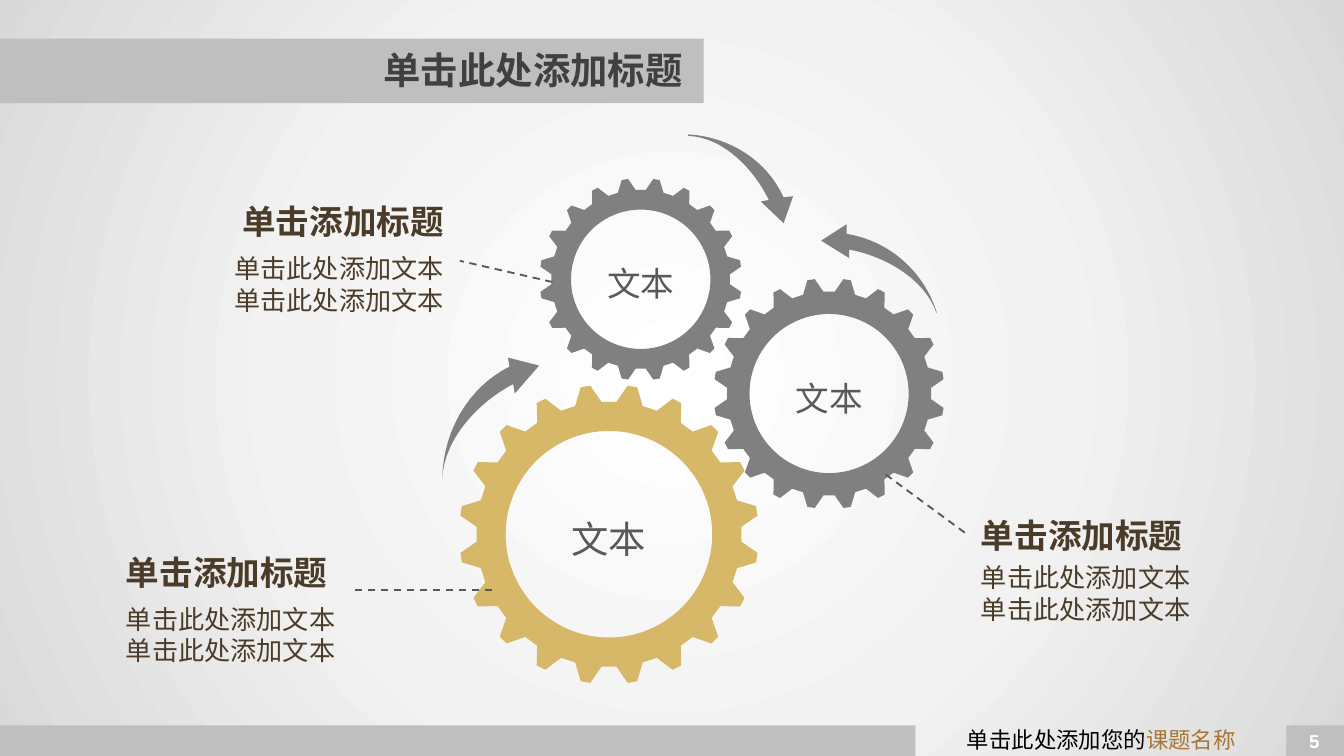
from math import cos, sin, radians
from lxml.etree import SubElement
from pptx import Presentation
from pptx.dml.color import RGBColor
from pptx.enum.dml import MSO_LINE as Dash
from pptx.enum.shapes import MSO_CONNECTOR as Link, MSO_SHAPE as Form
from pptx.enum.text import MSO_ANCHOR as Anchor, MSO_AUTO_SIZE as Fit, PP_ALIGN as Align
from pptx.oxml import parse_xml
from pptx.oxml.ns import nsdecls, qn
from pptx.util import Cm, Pt

hue = RGBColor.from_string


def write(para, text, size=14, color="4B3C29", bold=False, face="Arial", align=Align.LEFT):
    para.alignment = align
    run = para.add_run()
    run.text = text
    run.font.size = Pt(size)
    run.font.bold = bold
    run.font.name = face
    run.font.color.rgb = hue(color)


def paint(shape, color):
    shape.shadow.inherit = False
    shape.line.fill.background()
    shape.fill.solid()
    shape.fill.fore_color.rgb = hue(color)


deck = Presentation()
deck.slide_width, deck.slide_height = Cm(25.4), Cm(14.29)
slide = deck.slides.add_slide(deck.slide_layouts[5])
shapes = slide.shapes

back = shapes.add_shape(Form.RECTANGLE, Cm(0), Cm(-0.08), Cm(25.4), Cm(14.38))
back.shadow.inherit = False
back.line.fill.background()
stops = "".join(
    f'<a:gs pos="{pos}"><a:srgbClr val="{color}"/></a:gs>'
    for pos, color in [(0, "FFFFFF"), (51000, "F2F2F2"), (100000, "D9D9D9")]
)
back._element.spPr.insert(2, parse_xml(
    f'<a:gradFill {nsdecls("a")} rotWithShape="1"><a:gsLst>{stops}</a:gsLst><a:path path="circle">'
    '<a:fillToRect l="50000" t="50000" r="50000" b="50000"/></a:path></a:gradFill>'
))

for x, y, w, h in [(0, 0.73, 13.3, 1.22), (0, 13.71, 17.3, 0.58), (24.31, 13.71, 1.09, 0.58)]:
    bar = shapes.add_shape(Form.RECTANGLE, Cm(x), Cm(y), Cm(w), Cm(h))
    paint(bar, "BFBFBF")

for x, y, w, h, wrap, size, bold, runs in [
    (24.28, 13.61, 1.12, 0.76, False, 10, True, [("5", "FFFFFF")]),
    (17.32, 13.54, 6.99, 0.86, True, 12, False,
     [("单击此处添加您的", "000000"), ("课题名称", "A87635")]),
]:
    frame = shapes.add_textbox(Cm(x), Cm(y), Cm(w), Cm(h)).text_frame
    frame.word_wrap = wrap
    frame.auto_size = Fit.SHAPE_TO_FIT_TEXT
    frame.margin_left = frame.margin_right = Cm(0.33)
    frame.margin_top = frame.margin_bottom = Cm(0.18)
    for text, color in runs:
        write(frame.paragraphs[0], text, size=size, color=color, bold=bold, align=Align.CENTER)

title = shapes.title
title.left, title.top, title.width, title.height = Cm(1.91), Cm(0.61), Cm(11.25), Cm(1.4)
title.text_frame.vertical_anchor = Anchor.MIDDLE
write(title.text_frame.paragraphs[0], "单击此处添加标题", size=20, color="404040", bold=True,
      align=Align.RIGHT)
shapes._spTree.append(title._element)

teeth = 20
step = 360 / teeth
tooth = [(-5.8, 0.885), (-1.85, 1), (1.85, 1), (5.8, 0.885)]
rim = [((n + 0.5) * step + turn, dist) for n in range(teeth) for turn, dist in tooth]
hole = [(-turn, 0.69) for turn in range(0, 360, 4)]
for x, y, size, color, pt in [
    (12.11, 5.28, 1.91, "808080", 18),
    (15.67, 7.44, 2.18, "808080", 18),
    (11.51, 10.1, 2.83, "D7B768", 20),
]:
    outer, inner = [
        [(Cm(x + size * dist * cos(radians(turn))), Cm(y + size * dist * sin(radians(turn))))
         for turn, dist in ring]
        for ring in (rim, hole)
    ]
    pen = shapes.build_freeform(*outer[0], scale=1.0)
    pen.add_line_segments(outer[1:])
    pen.move_to(*inner[0])
    pen.add_line_segments(inner[1:])
    gear = pen.convert_to_shape()
    paint(gear, color)
    frame = gear.text_frame
    frame.vertical_anchor = Anchor.MIDDLE
    frame.margin_left = frame.margin_right = 0
    frame.margin_top = frame.margin_bottom = Cm(0.18)
    frame.paragraphs[0].line_spacing = 1.2
    write(frame.paragraphs[0], "文本", size=pt, color="5A5959", face="Arial Narrow",
          align=Align.CENTER)

for knots in [
    [(8.36, 9.04), (8.38, 8.13), (8.86, 7.32), (9.63, 6.93), (9.6, 6.76), (10.19, 6.91),
     (9.73, 7.44), (9.7, 7.26), (9.07, 7.59), (8.38, 8.28), (8.36, 9.07)],
    [(13, 2.54), (13.82, 2.59), (14.5, 3.05), (14.81, 3.73), (14.99, 3.71), (14.81, 4.22),
     (14.38, 3.81), (14.53, 3.78), (14.25, 3.2), (13.67, 2.59), (13, 2.57)],
    [(17.7, 5.89), (17.45, 5.11), (16.79, 4.55), (16, 4.42), (16, 4.24), (15.52, 4.55),
     (16.05, 4.88), (16.05, 4.72), (16.69, 4.83), (17.48, 5.26), (17.7, 5.92)],
]:
    bows = [
        [tuple((1 - t) ** 3 * a + 3 * (1 - t) ** 2 * t * b + 3 * (1 - t) * t ** 2 * c + t ** 3 * d
               for a, b, c, d in zip(*curve))
         for t in [n / 16 for n in range(17)]]
        for curve in (knots[:4], knots[7:])
    ]
    edge = [(Cm(x), Cm(y)) for x, y in bows[0] + knots[4:7] + bows[1]]
    pen = shapes.build_freeform(*edge[0], scale=1.0)
    pen.add_line_segments(edge[1:])
    paint(pen.convert_to_shape(), "808080")

for x, y, low, side, ends, joined in [
    (3.61, 3.68, 4.65, Align.RIGHT, (10.44, 5.33, 8.69, 4.93), False),
    (2.13, 10.31, 11.28, Align.LEFT, (9.3, 11.15, 6.65, 11.15), False),
    (18.29, 9.6, 10.49, Align.LEFT, (16.74, 8.97, 18.29, 10.11), True),
]:
    line = shapes.add_connector(Link.STRAIGHT, *[Cm(end) for end in ends])
    line.line.color.rgb = hue("595959")
    line.line.width = Pt(1)
    line.line.dash_style = Dash.DASH
    SubElement(line._element.spPr, qn("a:effectLst"))
    head = shapes.add_textbox(Cm(x), Cm(y), Cm(5.03), Cm(1.02))
    body = shapes.add_textbox(Cm(x), Cm(low), Cm(5.03), Cm(1.45))
    for box in (head, body):
        box.text_frame.word_wrap = True
        box.text_frame.auto_size = Fit.SHAPE_TO_FIT_TEXT
    write(head.text_frame.paragraphs[0], "单击添加标题", size=18, bold=True, align=side)
    body.text_frame.add_paragraph()
    for para in body.text_frame.paragraphs:
        write(para, "单击此处添加文本", align=side)
    if joined:
        line.end_connect(head, 1)

deck.save("out.pptx")
